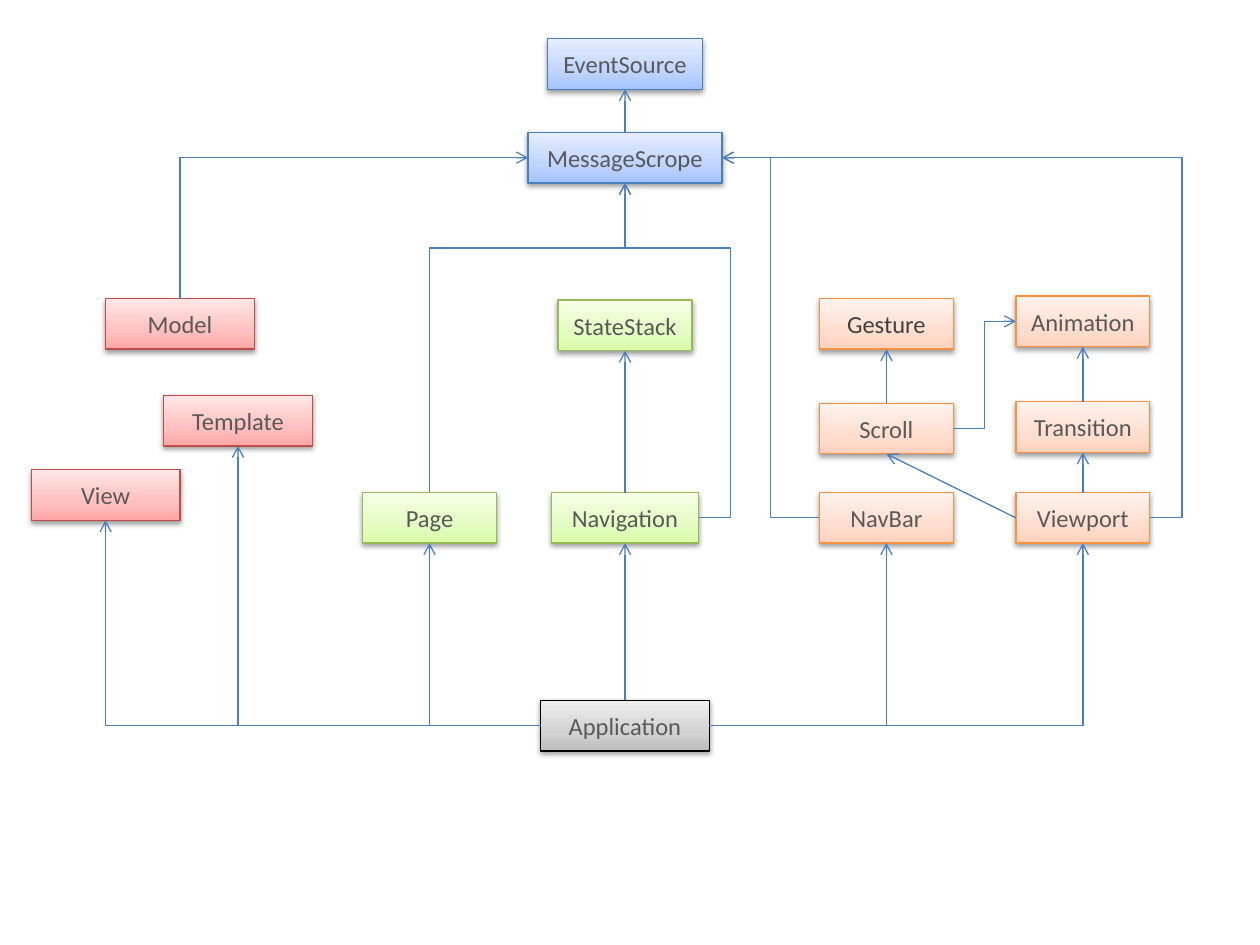
import copy
import lxml.etree
import pptx
import pptx.dml.color
import pptx.enum.shapes
import pptx.enum.text
import pptx.oxml.ns
import pptx.util

Cm, Pt = pptx.util.Cm, pptx.util.Pt
qn = pptx.oxml.ns.qn

THEME = {
    "font": "Calibri", "size": 14, "line": 0.75, "link": "4B7EBC",
    "text": "595959", "dark": "404040",
    "blue": ("4B7EBC", ("A4C4FF", "BFD4FF", "E6EEFF")),
    "green": ("98B955", ("DAFDA7", "E4FCC2", "F5FFE7")),
    "orange": ("F69240", ("FFD2BD", "FFDED0", "FFF2ED")),
    "red": ("BF4C48", ("FFA6A5", "FFC0BF", "FFE7E7")),
    "gray": ("000000", ("BDBDBD", "D1D1D1", "EEEEEE")),
}
STOPS = (0, 0.35, 1)
TALL = 1.02
MID, LEFT, RIGHT = 12.6, 17.87, 21.83
BASE = 9.93

BOXES = [
    ("EventSource", "blue", MID, 0.78, 3.13),
    ("MessageScrope", "blue", MID, 2.67, 3.91),
    ("Model", "red", 3.63, 6.02, 3),
    ("Template", "red", 4.8, 7.97, 3),
    ("View", "red", 2.13, 9.47, 3),
    ("StateStack", "green", MID, 6.05, 2.7),
    ("Page", "green", 8.66, BASE, 2.7),
    ("Navigation", "green", MID, BASE, 2.97),
    ("Gesture", "orange", LEFT, 6.02, 2.7),
    ("Animation", "orange", RIGHT, 5.97, 2.7),
    ("Scroll", "orange", LEFT, 8.13, 2.7),
    ("Transition", "orange", RIGHT, 8.1, 2.7),
    ("NavBar", "orange", LEFT, BASE, 2.7),
    ("Viewport", "orange", RIGHT, BASE, 2.7),
    ("Application", "gray", MID, 14.12, 3.4),
]

SITES = {"top": 0, "left": 1, "bottom": 2, "right": 3}
LINES = [
    ("MessageScrope", "top", "EventSource", "bottom"),
    ("Navigation", "top", "StateStack", "bottom"),
    ("Scroll", "top", "Gesture", "bottom"),
    ("Transition", "top", "Animation", "bottom"),
    ("Viewport", "top", "Transition", "bottom"),
    ("Viewport", "left", "Scroll", "bottom"),
    ("Application", "top", "Navigation", "bottom"),
]
BENDS = [
    ("Application", "left", "View", "bottom", ()),
    ("Application", "left", "Template", "bottom", ()),
    ("Application", "left", "Page", "bottom", ()),
    ("Application", "right", "NavBar", "bottom", ()),
    ("Application", "right", "Viewport", "bottom", ()),
    ("Model", "top", "MessageScrope", "left", ()),
    ("Scroll", "right", "Animation", "left", (19.85,)),
    ("NavBar", "left", "MessageScrope", "right", (15.53,)),
    ("Viewport", "right", "MessageScrope", "right", (23.83,)),
    ("Page", "top", "MessageScrope", "bottom", (5,)),
    ("Navigation", "right", "MessageScrope", "bottom", (14.73, 5)),
]


def rgb(code):
    return pptx.dml.color.RGBColor.from_string(code)


def put(thing, values):
    for name, value in values.items():
        setattr(thing, name, value)


def sub(node, tag, **values):
    return lxml.etree.SubElement(node, qn(tag), values)


def shade(fill, colors):
    fill.gradient()
    fill.gradient_angle = 90
    first = fill.gradient_stops[0].color
    first.rgb = rgb(colors[0])
    root = fill._fill._gradFill.find(qn("a:gsLst"))
    root.insert(1, copy.deepcopy(root[0]))
    for stop, spot, code in zip(fill.gradient_stops, STOPS, colors):
        stop.color.rgb = rgb(code)
        stop.position = spot


def add_box(slide, label, hue, mid, top, wide):
    edge, colors = THEME[hue]
    box = slide.shapes.add_shape(
        pptx.enum.shapes.MSO_SHAPE.RECTANGLE,
        Cm(mid - wide / 2), Cm(top), Cm(wide), Cm(TALL))
    shade(box.fill, colors)
    box.line.color.rgb = rgb(edge)
    box.line.width = Pt(THEME["line"])
    box.shadow.inherit = False
    glow = sub(box.element.spPr.find(qn("a:effectLst")), "a:outerShdw",
               blurRad="40000", dist="20000", dir="5400000", rotWithShape="0")
    sub(sub(glow, "a:srgbClr", val="000000"), "a:alpha", val="38000")
    frame = box.text_frame
    frame.vertical_anchor = pptx.enum.text.MSO_ANCHOR.MIDDLE
    para = frame.paragraphs[0]
    para.alignment = pptx.enum.text.PP_ALIGN.CENTER
    run = para.add_run()
    run.text = label
    put(run.font, {"name": THEME["font"], "size": Pt(THEME["size"])})
    run.font.color.rgb = rgb(THEME["dark" if label == "Gesture" else "text"])
    return box


def bend(link, side, lanes):
    x, y, dx, dy = (link.begin_x, link.begin_y,
                    link.end_x - link.begin_x, link.end_y - link.begin_y)
    steep = side in ("top", "bottom")
    spans = [(x, dx), (y, dy)]
    if steep:
        spans.reverse()
        wide, tall = abs(dy), abs(dx)
        put(link, {"left": x + (dx - wide) // 2, "top": y + (dy - tall) // 2,
                   "width": wide, "height": tall})
        put(link.element.spPr.xfrm,
            {"rot": 90.0, "flipH": dy < 0, "flipV": dx > 0})
    form = link.element.spPr.find(qn("a:prstGeom"))
    form.set("prst", f"bentConnector{2 + len(lanes)}")
    for old in list(form):
        form.remove(old)
    guides = sub(form, "a:avLst")
    for rank, (lane, (start, span)) in enumerate(zip(lanes, spans), 1):
        part = round((Cm(lane) - start) / span * 100000)
        sub(guides, "a:gd", name=f"adj{rank}", fmla=f"val {part}")


def add_link(slide, boxes, start, side, end, face, lanes=None):
    kinds = pptx.enum.shapes.MSO_CONNECTOR
    kind = kinds.STRAIGHT if lanes is None else kinds.ELBOW
    link = slide.shapes.add_connector(kind, 0, 0, 0, 0)
    link.begin_connect(boxes[start], SITES[side])
    link.end_connect(boxes[end], SITES[face])
    if lanes is not None:
        bend(link, side, lanes)
    link.line.color.rgb = rgb(THEME["link"])
    link.line.width = Pt(THEME["line"])
    sub(link.line._get_or_add_ln(), "a:tailEnd", type="arrow")
    sub(link.element.spPr, "a:effectLst")


deck = pptx.Presentation()
put(deck, {"slide_width": Cm(25.4), "slide_height": Cm(19.05)})
slide = deck.slides.add_slide(deck.slide_layouts[6])
boxes = {row[0]: add_box(slide, *row) for row in BOXES}
for row in LINES + BENDS:
    add_link(slide, boxes, *row)
deck.save("out.pptx")
